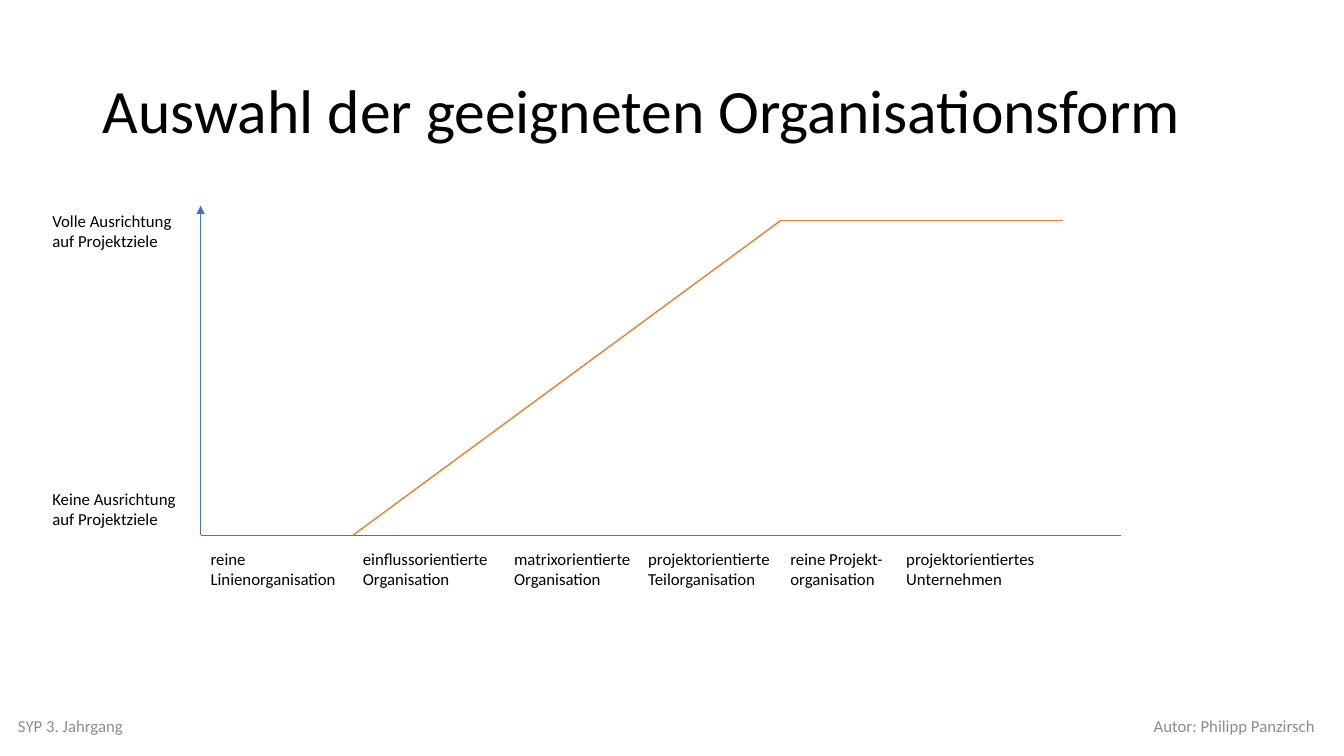
from lxml.etree import SubElement
from pptx import Presentation
from pptx.dml.color import RGBColor
from pptx.enum.shapes import MSO_CONNECTOR as Connector
from pptx.enum.text import MSO_ANCHOR as Anchor, PP_ALIGN as Align
from pptx.oxml.ns import qn
from pptx.util import Inches, Pt

COLORS = {"text": "000000", "footer": "8C8C8C", "axis": "4472C4", "curve": "ED7D31"}
FONT = "Calibri"

# The slide is a grid of 100 columns by 100 rows.
WIDTH, HEIGHT = Inches(13.33), Inches(7.5)
COLUMN, ROW = WIDTH / 100, HEIGHT / 100
LABEL_WIDTH, LABEL_HEIGHT = 11.25, 6.67

# Each organisation form with its start column on the horizontal axis.
FORMS = [
    ("reine Linienorganisation", 0),
    ("einflussorientierte Organisation", 11.33),
    ("matrixorientierte Organisation", 22.58),
    ("projektorientierte Teilorganisation", 32.56),
    ("reine Projekt-organisation", 43.14),
    ("projektorientiertes Unternehmen", 51.76),
]


def grid(column, row):
    """Turn a grid position or extent into slide units."""
    return round(column * COLUMN), round(row * ROW)


def add_text(slide, box, text, size=12, color="text", anchor=Anchor.TOP,
             align=Align.LEFT, spacing=1.0):
    """Write one run of text into a box of (left, top, width, height)."""
    left, top, width, height = box
    shape = slide.shapes.add_textbox(*grid(left, top), *grid(width, height))
    frame = shape.text_frame
    frame.word_wrap = True
    frame.vertical_anchor = anchor
    paragraph = frame.paragraphs[0]
    paragraph.alignment = align
    paragraph.line_spacing = spacing
    run = paragraph.add_run()
    run.text = text
    run.font.name = FONT
    run.font.size = Pt(size)
    run.font.color.rgb = RGBColor.from_string(COLORS[color])


def add_line(slide, start, end, color, weight, arrow=False):
    """Draw a straight line between two grid points."""
    line = slide.shapes.add_connector(Connector.STRAIGHT, *grid(*start), *grid(*end))
    line.line.color.rgb = RGBColor.from_string(COLORS[color])
    line.line.width = Pt(weight)
    if arrow:
        SubElement(line.line._get_or_add_ln(), qn("a:tailEnd"), type="triangle")
    SubElement(line._element.spPr, qn("a:effectLst"))


def add_title(slide, box):
    """Place the slide title."""
    add_text(slide, box, "Auswahl der geeigneten Organisationsform", 44,
             anchor=Anchor.MIDDLE, spacing=0.9)


def add_diagram(slide, box):
    """Place the axes, their labels and the curve inside the box."""
    left, top, width, height = box
    bottom = top + height
    origin = (left, bottom)
    add_line(slide, origin, (left, top), "axis", 0.5, arrow=True)
    add_line(slide, origin, (left + width, bottom), "axis", 0.5)

    for text, row in [("Volle Ausrichtung auf Projektziele", top),
                      ("Keine Ausrichtung auf Projektziele", top + 36.8)]:
        add_text(slide, (left - 11.78, row, LABEL_WIDTH, LABEL_HEIGHT), text)
    for text, column in FORMS:
        add_text(slide, (left + column, bottom + 1.07, LABEL_WIDTH, LABEL_HEIGHT), text)

    rise_start, rise_end = left + FORMS[1][1], left + FORMS[4][1]
    curve = [(rise_start, bottom), (rise_end, top + 2), (left + 64.14, top + 2)]
    for start, end in zip(curve, curve[1:]):
        add_line(slide, start, end, "curve", 1)


def add_footer(slide, box):
    """Place the course at the left end of the box and the author at the right."""
    left, top, width, height = box
    part = 33.76
    for text, column, align in [
        ("SYP 3. Jahrgang", left, Align.LEFT),
        ("Autor: Philipp Panzirsch", left + width - part, Align.RIGHT),
    ]:
        add_text(slide, (column, top, part, height), text, color="footer",
                 anchor=Anchor.MIDDLE, align=align)


presentation = Presentation()
presentation.slide_width, presentation.slide_height = WIDTH, HEIGHT
slide = presentation.slides.add_slide(presentation.slide_layouts[6])
add_title(slide, (6.9, 5.33, 86.27, 19.33))
add_diagram(slide, (14.93, 27.2, 68.49, 43.6))
add_footer(slide, (0.6, 93.33, 97.97, 5.33))
presentation.save("out.pptx")
